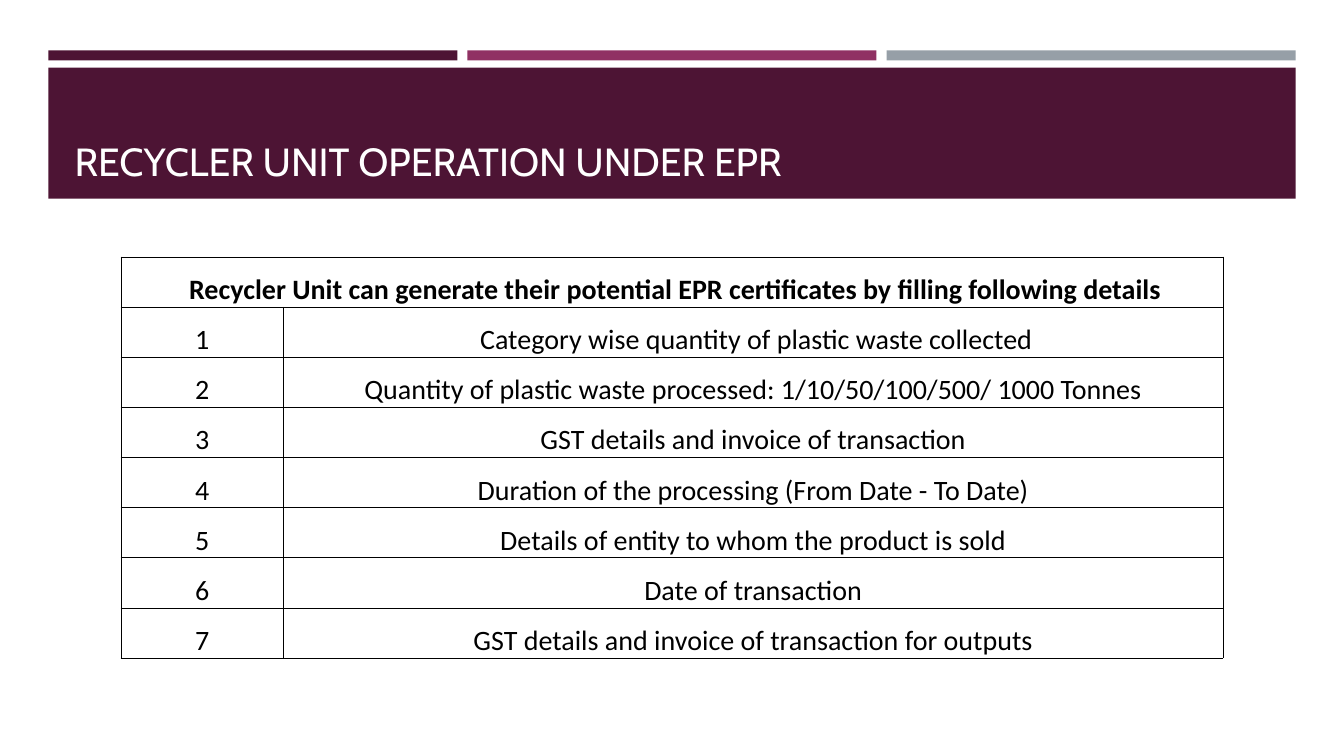
from lxml import etree
from pptx import Presentation
from pptx.dml.color import RGBColor
from pptx.enum.shapes import MSO_SHAPE
from pptx.enum.text import MSO_ANCHOR, MSO_AUTO_SIZE, PP_ALIGN
from pptx.oxml.ns import qn
from pptx.util import Inches, Pt

RECTANGLE = MSO_SHAPE.RECTANGLE
BOTTOM = MSO_ANCHOR.BOTTOM
LEFT, CENTER = PP_ALIGN.LEFT, PP_ALIGN.CENTER
NO_AUTOFIT = MSO_AUTO_SIZE.NONE
TITLE_ONLY = 5

PLUM, MAGENTA, GREY = "4D1434", "903163", "969FA7"
WHITE, BLACK = "FFFFFF", "000000"

HEADING = " Recycler Unit can generate their potential EPR certificates by filling following details"
DETAILS = [
    " Category wise quantity of plastic waste collected",
    "Quantity of plastic waste processed: 1/10/50/100/500/ 1000 Tonnes",
    "GST details and invoice of transaction",
    "Duration of the processing (From Date - To Date)",
    "Details of entity to whom the product is sold",
    "Date of transaction",
    "GST details and invoice of transaction for outputs",
]


def rgb(value):
    return RGBColor.from_string(value)


def apply(target, formats):
    for name, value in formats.items():
        setattr(target, name, value)


def write(frame, text, align, font_name, size, color, bold=False):
    frame.text = text
    paragraph = frame.paragraphs[0]
    paragraph.alignment = align
    font = paragraph.runs[0].font
    apply(font, {"name": font_name, "size": Pt(size), "bold": bold})
    font.color.rgb = rgb(color)


def add_band(slide, left, top, width, height, color):
    band = slide.shapes.add_shape(
        RECTANGLE, Inches(left), Inches(top), Inches(width), Inches(height))
    band.shadow.inherit = False
    band.fill.solid()
    band.fill.fore_color.rgb = rgb(color)
    band.line.fill.background()


def add_header(slide, left, top, width, height):
    # Three equal stripes above the title band
    gap, stripe_height, band_offset = 0.1, 0.1, 0.17
    stripe_width = (width - 2 * gap) / 3
    for i, color in enumerate((PLUM, MAGENTA, GREY)):
        add_band(slide, left + i * (stripe_width + gap), top,
                 stripe_width, stripe_height, color)
    add_band(slide, left, top + band_offset, width, height - band_offset, PLUM)

    # Title, brought in front of its band
    title = slide.shapes.title
    apply(title, {"left": Inches(left + 0.16), "top": Inches(top + 0.27),
                  "width": Inches(width - 0.31), "height": Inches(1.11)})
    apply(title.text_frame, {"vertical_anchor": BOTTOM, "word_wrap": True,
                             "auto_size": NO_AUTOFIT})
    write(title.text_frame, "RECYCLER UNIT OPERATION UNDER EPR",
          LEFT, "Cabin", 28, WHITE)
    title.element.getparent().append(title.element)


def set_borders(cell, color, points):
    properties = cell._tc.get_or_add_tcPr()
    for i, side in enumerate(("a:lnL", "a:lnR", "a:lnT", "a:lnB")):
        line = etree.Element(qn(side), w=str(Pt(points)))
        fill = etree.SubElement(line, qn("a:solidFill"))
        etree.SubElement(fill, qn("a:srgbClr"), val=color)
        properties.insert(i, line)


def add_details_table(slide, left, top, width, height):
    rows = [(HEADING, "")]
    rows += [(str(number), detail) for number, detail in enumerate(DETAILS, 1)]
    table = slide.shapes.add_table(
        len(rows), 2, Inches(left), Inches(top), Inches(width), Inches(height)).table
    apply(table, {"first_row": False, "horz_banding": False})
    number_width = 1.61
    table.columns[0].width = Inches(number_width)
    table.columns[1].width = Inches(width - number_width)
    table.cell(0, 0).merge(table.cell(0, 1))

    for r, texts in enumerate(rows):
        table.rows[r].height = Inches(height / len(rows))
        for c, text in enumerate(texts):
            cell = table.cell(r, c)
            apply(cell, {"vertical_anchor": BOTTOM, "margin_left": Inches(0.01),
                         "margin_right": Inches(0.01), "margin_top": Inches(0.01),
                         "margin_bottom": 0})
            cell.fill.background()
            set_borders(cell, BLACK, 0.5)
            if text:
                write(cell.text_frame, text, CENTER, "Calibri", 20, BLACK, bold=r == 0)


def main():
    deck = Presentation()
    apply(deck, {"slide_width": Inches(13.33), "slide_height": Inches(7.5)})
    slide = deck.slides.add_slide(deck.slide_layouts[TITLE_ONLY])
    add_header(slide, 0.48, 0.5, 12.37, 1.47)
    add_details_table(slide, 1.2, 2.55, 10.93, 3.98)
    deck.save("out.pptx")


if __name__ == "__main__":
    main()
